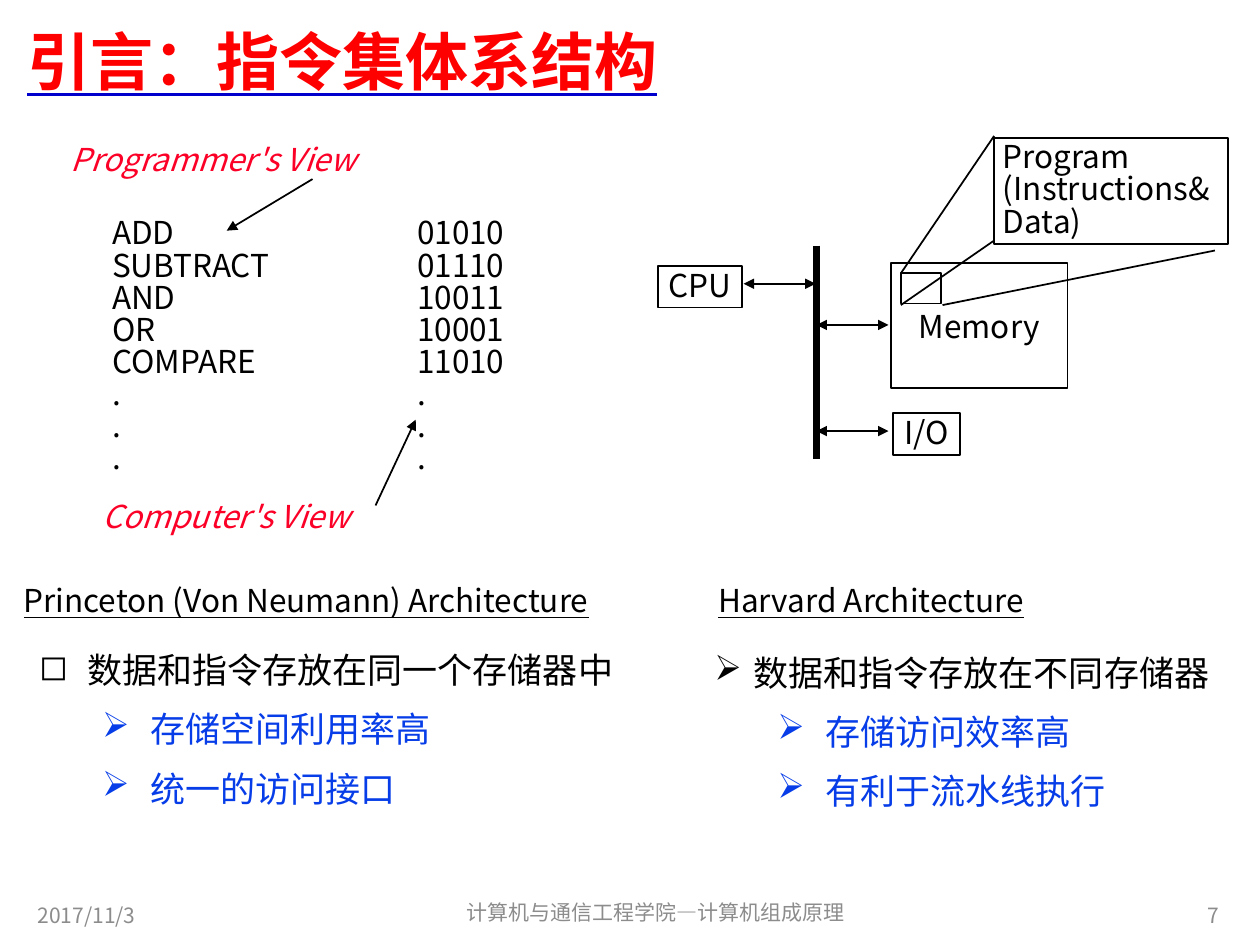
import pptx
import pptx.util
import pptx.dml.color
import pptx.enum.shapes
import pptx.enum.text
import pptx.oxml.ns
import lxml.etree

Cm = pptx.util.Cm
Pt = pptx.util.Pt
RGB = pptx.dml.color.RGBColor
ALIGN = pptx.enum.text.PP_ALIGN
ANCHOR = pptx.enum.text.MSO_ANCHOR
RECT = pptx.enum.shapes.MSO_SHAPE.RECTANGLE
STRAIGHT = pptx.enum.shapes.MSO_CONNECTOR.STRAIGHT

BLACK = RGB(0x00, 0x00, 0x00)
WHITE = RGB(0xFF, 0xFF, 0xFF)
RED = RGB(0xFF, 0x00, 0x00)
ROSE = RGB(0xFC, 0x01, 0x28)
BLUE = RGB(0x06, 0x3D, 0xE8)
NAVY = RGB(0x00, 0x00, 0xCC)
GREY = RGB(0x8C, 0x8C, 0x8C)

WIDE = (0.25, 0.13)
TIGHT = (0.18, 0.08)


def add(node, tag, **attrs):
    return lxml.etree.SubElement(node, pptx.oxml.ns.qn(tag), attrs)


class Page:
    """Holds the style and the current slide."""

    face = "Noto Sans CJK SC"

    def __init__(self, slide):
        self.slide = slide

    def run(self, para, text, size=18, color=BLACK, **form):
        run = para.add_run()
        run.text = text
        form = {"name": self.face, "size": Pt(size), **form}
        for key, value in form.items():
            setattr(run.font, key, value)
        run.font.color.rgb = color
        add(run._r.get_or_add_rPr(), "a:ea", typeface=self.face)
        return run

    def fill(self, shape, lines, pad=TIGHT, space=1.0, align=ALIGN.LEFT,
             anchor=ANCHOR.TOP, wrap=False, **form):
        frame = shape.text_frame
        side, edge = pad
        rules = {"margin_left": Cm(side), "margin_right": Cm(side),
                 "margin_top": Cm(edge), "margin_bottom": Cm(edge),
                 "vertical_anchor": anchor, "word_wrap": wrap}
        for key, value in rules.items():
            setattr(frame, key, value)
        for i, line in enumerate(lines):
            para = frame.add_paragraph() if i else frame.paragraphs[0]
            para.alignment = align
            para.line_spacing = space
            self.run(para, line, **form)
        return frame

    def text(self, box, *lines, **form):
        shape = self.slide.shapes.add_textbox(*map(Cm, box))
        return self.fill(shape, lines, **form)

    def rect(self, box, *lines, back=None, **form):
        shape = self.slide.shapes.add_shape(RECT, *map(Cm, box))
        shape.shadow.inherit = False
        if back is None:
            shape.fill.background()
        else:
            shape.fill.solid()
            shape.fill.fore_color.rgb = back
        shape.line.color.rgb = BLACK
        shape.line.width = Pt(1)
        if lines:
            self.fill(shape, lines, **form)

    def line(self, start, end, width=1, head=False, tail=False):
        line = self.slide.shapes.add_connector(STRAIGHT, *map(Cm, start + end))
        line.line.color.rgb = BLACK
        line.line.width = Pt(width)
        stroke = line.line._get_or_add_ln()
        for tag, wanted in (("a:headEnd", head), ("a:tailEnd", tail)):
            if wanted:
                add(stroke, tag, type="triangle")
        add(line._element.spPr, "a:effectLst")

    def list(self, box, lines, mark, dent):
        """First line is the main point, the others sit one level below."""
        frame = self.text(box, *lines, space=1.2, size=20, wrap=True)
        for i, para in enumerate(frame.paragraphs):
            left, hang, sign = (2.24, 0.97, "➢") if i else (dent, dent, mark)
            props = para._p.get_or_add_pPr()
            props.set("marL", str(Cm(left)))
            props.set("indent", str(-Cm(hang)))
            add(props, "a:buChar", char=sign)
            if i:
                para.level = 1
                para.space_before = Pt(5)
                para.runs[0].font.color.rgb = BLUE


def main():
    deck = pptx.Presentation()
    deck.slide_width, deck.slide_height = Cm(25.4), Cm(19.05)
    page = Page(deck.slides.add_slide(deck.slide_layouts[6]))

    # Title with a blue underline
    frame = page.text((0.3, 0.13, 24.61, 2.16), "引言：指令集体系结构", pad=WIDE,
                      anchor=ANCHOR.MIDDLE, wrap=True, size=36, color=RED,
                      bold=True, underline=True)
    props = frame.paragraphs[0].runs[0].font._element
    under = add(props, "a:uFill")
    add(add(under, "a:solidFill"), "a:srgbClr", val=str(NAVY))
    props.find(pptx.oxml.ns.qn("a:latin")).addprevious(under)

    # Footer
    for box, words, align in (
            ((8.51, 17.88, 9.42, 1.02), "计算机与通信工程学院—计算机组成原理", ALIGN.CENTER),
            ((18.9, 17.93, 5.92, 1.02), "7", ALIGN.RIGHT),
            ((0.51, 17.93, 5.92, 1.02), "2017/11/3", ALIGN.LEFT)):
        page.text(box, words, pad=WIDE, align=align, anchor=ANCHOR.MIDDLE,
                  wrap=True, size=12, color=GREY)

    # Instructions and their codes
    dots = (".",) * 3
    page.text((2.08, 4.34, 3.61, 5.38), "ADD", "SUBTRACT", "AND", "OR",
              "COMPARE", *dots, space=0.85)
    page.text((8.23, 4.34, 2.24, 5.38), "01010", "01110", "10011", "10001",
              "11010", *dots, space=0.85)

    # The two views
    for box, words, start, end in (
            ((1.24, 2.87, 6.35, 0.79), "Programmer's View", (6.3, 3.61), (4.57, 4.65)),
            ((1.88, 10.06, 5.59, 0.79), "Computer's View", (7.57, 10.19), (8.38, 8.46))):
        page.text(box, words, space=0.85, color=ROSE, italic=True)
        page.line(start, end, tail=True)

    # Machine parts
    mid = {"align": ALIGN.CENTER, "anchor": ANCHOR.MIDDLE}
    page.rect((13.26, 5.36, 1.7, 0.84), "CPU", space=0.92, **mid)
    page.rect((17.96, 5.31, 3.56, 2.51), "Memory", pad=WIDE, **mid)
    page.rect((18.01, 8.33, 1.35, 0.84), "I/O", space=0.92, **mid)

    # Bus and its links
    page.line((16.46, 4.95), (16.46, 9.25), width=4)
    for left, top in ((14.99, 5.72), (16.46, 6.55), (16.46, 8.69)):
        page.line((left, top), (left + 1.45, top), head=True, tail=True)

    # Program zoomed out of memory
    page.rect((18.16, 5.51, 0.81, 0.61))
    page.rect((20.04, 2.79, 4.72, 2.13), "Program", "(Instructions&", "Data)",
              back=WHITE, space=0.86)
    for start, end in (((18.16, 5.51), (20.04, 2.74)),
                       ((19, 6.15), (24.49, 5.05)),
                       ((18.16, 6.15), (20.04, 4.85))):
        page.line(start, end)

    # Architectures compared
    for box, words in (
            ((0.3, 11.76, 12.24, 0.79), "Princeton (Von Neumann) Architecture"),
            ((14.3, 11.76, 6.73, 0.79), "Harvard Architecture")):
        page.text(box, words, space=0.85, underline=True)
    page.list((0.61, 12.83, 12.01, 3.66),
              ("数据和指令存放在同一个存储器中", "存储空间利用率高", "统一的访问接口"),
              "◻", 0.97)
    page.list((14.22, 12.88, 10.41, 3.66),
              ("数据和指令存放在不同存储器", "存储访问效率高", "有利于流水线执行"),
              "➢", 0.79)

    deck.save("out.pptx")


if __name__ == "__main__":
    main()
